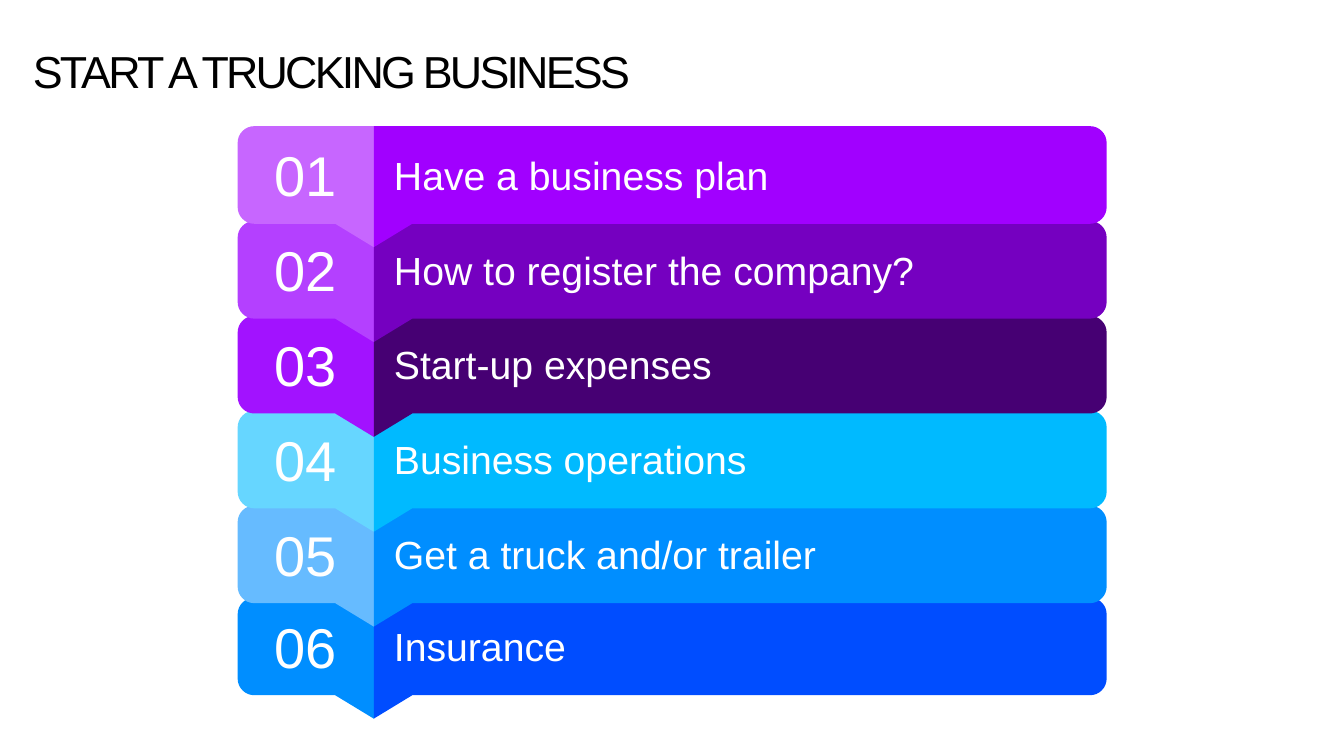
"""Build a slide with six numbered, interlocking steps for starting a trucking business."""
from math import cos, pi, sin

from pptx import Presentation
from pptx.dml.color import RGBColor
from pptx.enum.text import MSO_ANCHOR as Anchor, MSO_AUTO_SIZE as AutoSize, PP_ALIGN as Align
from pptx.util import Cm, Pt

COLOURS = {
    "black": "000000",
    "white": "FFFFFF",
    "lilac": "C766FF",
    "violet": "A100FF",
    "orchid": "B440FF",
    "purple": "7500C0",
    "bright violet": "A212FF",
    "deep purple": "460073",
    "pale cyan": "66D6FF",
    "cyan": "00BAFF",
    "pale blue": "66BBFF",
    "azure": "008EFF",
    "royal blue": "004DFF",
}
STEPS = [
    ("Have a business plan", "lilac", "violet"),
    ("How to register the company?", "orchid", "purple"),
    ("Start-up expenses", "bright violet", "deep purple"),
    ("Business operations", "pale cyan", "cyan"),
    ("Get a truck and/or trailer", "pale blue", "azure"),
    ("Insurance", "azure", "royal blue"),
]
SEAM, BADGE_WIDTH, PANEL_WIDTH = 9.42, 3.43, 18.47
BAND_HEIGHT, TIP_HEIGHT, NOTCH, RADIUS = 2.46, 3.05, 0.97, 0.42
FIRST_TOP, PITCH, LAST_TOP = 3.18, 2.39, 15.06
CORNER_STEPS = 8

deck = Presentation()
deck.slide_width, deck.slide_height = Cm(33.87), Cm(19.05)
page = deck.slides.add_slide(deck.slide_layouts[6])


def add_text(text, left, top, width, height, size, colour="white", align=Align.LEFT,
             anchor=Anchor.MIDDLE, insets=(0, 0, 0, 0), wrap=True, spacing=0):
    """Add a one-line text box, with lengths in centimetres and spacing in points."""
    box = page.shapes.add_textbox(Cm(left), Cm(top), Cm(width), Cm(height))
    frame = box.text_frame
    frame.word_wrap = wrap
    frame.auto_size = AutoSize.NONE if wrap else AutoSize.SHAPE_TO_FIT_TEXT
    frame.vertical_anchor = anchor
    frame.margin_left, frame.margin_top, frame.margin_right, frame.margin_bottom = map(Cm, insets)
    para = frame.paragraphs[0]
    para.alignment = align
    span = para.add_run()
    span.text = text
    span.font.name = "Arial"
    span.font.size = Pt(size)
    span.font.color.rgb = RGBColor.from_string(COLOURS[colour])
    if spacing:
        span.font._element.set("spc", str(spacing * 100))


def add_half(side, width, top, colour):
    """Draw the half band that runs from the seam to the left (-1) or right (1)."""
    centre_x = SEAM + side * (width - RADIUS)
    points = []
    for centre_y, start in ((top + RADIUS, -pi / 2), (top + BAND_HEIGHT - RADIUS, 0)):
        for step in range(CORNER_STEPS + 1):
            angle = start + step / CORNER_STEPS * pi / 2
            points.append((centre_x + side * RADIUS * cos(angle), centre_y + RADIUS * sin(angle)))
    points += [(SEAM + side * NOTCH, top + BAND_HEIGHT), (SEAM, top + TIP_HEIGHT)]
    outline = page.shapes.build_freeform(Cm(SEAM), Cm(top))
    outline.add_line_segments([(Cm(x), Cm(y)) for x, y in points], close=True)
    half = outline.convert_to_shape()
    half.shadow.inherit = False
    half.line.fill.background()
    half.fill.solid()
    half.fill.fore_color.rgb = RGBColor.from_string(COLOURS[colour])


tops = [FIRST_TOP + PITCH * row for row in range(len(STEPS) - 1)] + [LAST_TOP]
rows = list(enumerate(zip(tops, STEPS), start=1))
for number, (top, (label, badge_colour, panel_colour)) in reversed(rows):
    add_half(-1, BADGE_WIDTH, top, badge_colour)
    add_half(1, PANEL_WIDTH, top, panel_colour)
    add_text(f"{number:02}", SEAM - BADGE_WIDTH, top, BADGE_WIDTH, 2.44, size=40,
             align=Align.CENTER)
    add_text(label, SEAM, top, PANEL_WIDTH, 2.44, size=28, insets=(0.51, 0, 0, 0))

add_text("START A TRUCKING BUSINESS", 0.58, 0.97, 16.36, 1.63, size=32, colour="black",
         anchor=Anchor.TOP, insets=(0.25, 0.13, 0.25, 0.13), wrap=False, spacing=-2)

deck.save("out.pptx")
